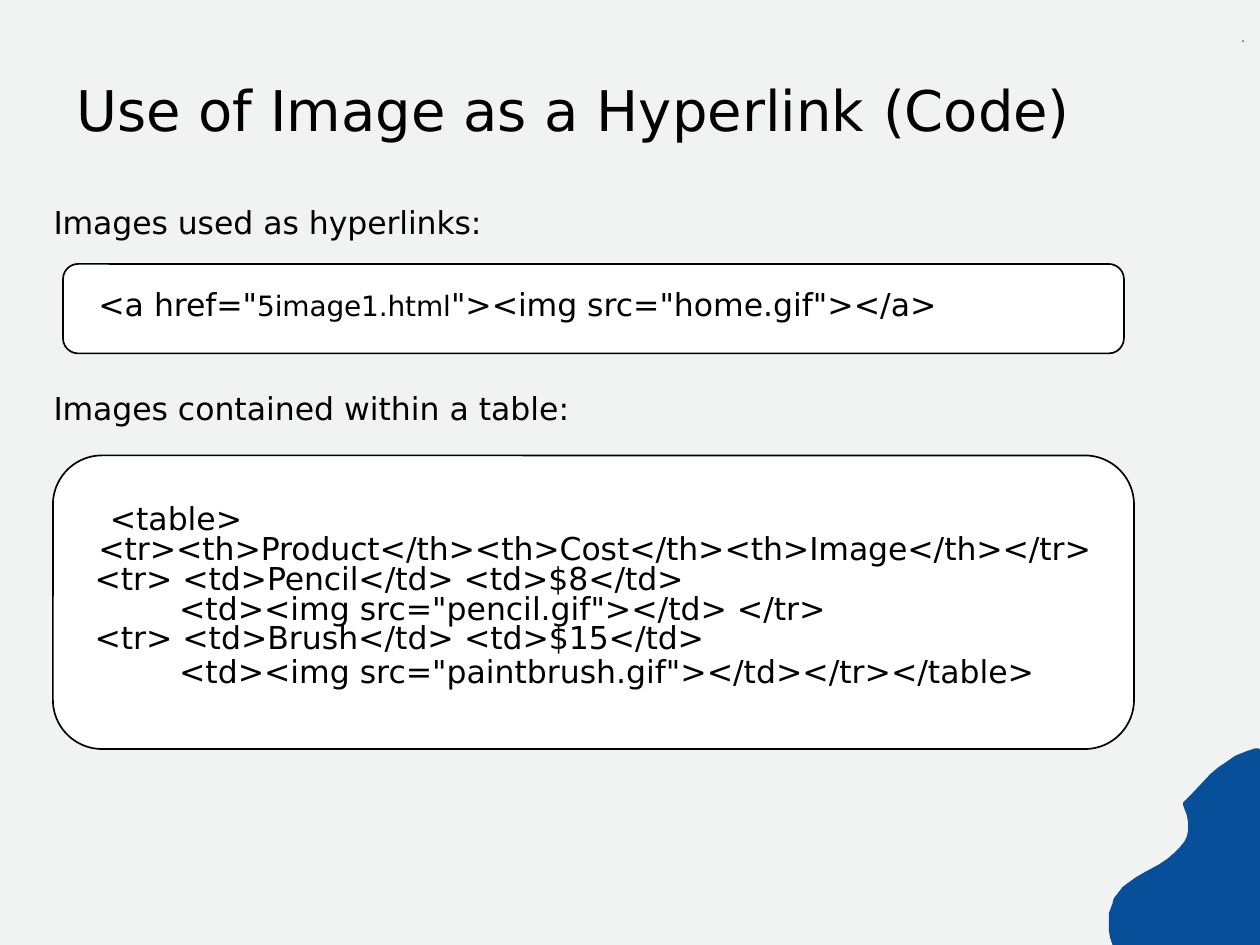
from pptx import Presentation
from pptx.dml.color import RGBColor
from pptx.enum.shapes import MSO_SHAPE as Shape
from pptx.enum.text import MSO_ANCHOR as Anchor, PP_ALIGN as Align
from pptx.util import Inches, Pt

# Grid of 100 columns by 75 rows; one cell is a tenth of an inch
COLUMNS, ROWS, CELL = 100, 75, 0.1
FONT = "DejaVu Sans"
BLACK, WHITE, PAPER, BLUE = "000000", "FFFFFF", "F1F2F2", "084F99"
CORNER_SHARE = 0.29  # share of the corner radius that a rounded box keeps free of text
TIGHT = -5  # letter spacing in 1/100 pt


def grid(cells):
    return Inches(cells * CELL)


def color(hex_text):
    return RGBColor.from_string(hex_text)


def paint(shape, hex_text):
    shape.shadow.inherit = False
    shape.fill.solid()
    shape.fill.fore_color.rgb = color(hex_text)
    shape.line.fill.background()


def write_line(paragraph, parts, size=18, indent=0, spacing=None, font=FONT, bold=False):
    """Write parts of (text, letter spacing, optional size) as one line."""
    paragraph.alignment = Align.LEFT
    if spacing:
        paragraph.line_spacing = Pt(spacing)
    if indent:
        paragraph._p.get_or_add_pPr().set("marL", str(grid(indent)))
    for text, tracking, *own_size in parts:
        run = paragraph.add_run()
        run.text = text
        run.font.name, run.font.bold = font, bold
        run.font.size = Pt(own_size[0] if own_size else size)
        run.font.color.rgb = color(BLACK)
        run.font._element.set("spc", str(tracking))


def set_frame(text_frame, left=0, top=0):
    text_frame.word_wrap = True
    text_frame.vertical_anchor = Anchor.TOP
    text_frame.margin_left, text_frame.margin_top = grid(left), grid(top)
    text_frame.margin_right = text_frame.margin_bottom = 0


def add_background(slide, box):
    paint(slide.shapes.add_shape(Shape.RECTANGLE, *map(grid, box)), PAPER)


def add_label(slide, box, parts, **style):
    text_frame = slide.shapes.add_textbox(*map(grid, box)).text_frame
    set_frame(text_frame)
    write_line(text_frame.paragraphs[0], parts, **style)


def add_code_box(slide, box, radius, text_left, text_top, lines):
    """Rounded box; each line is (indent, line spacing, parts)."""
    shape = slide.shapes.add_shape(Shape.ROUNDED_RECTANGLE, *map(grid, box))
    shape.adjustments[0] = radius / min(box[2:])
    paint(shape, WHITE)
    shape.line.color.rgb = color(BLACK)
    shape.line.width = Pt(0.96)
    text_frame = shape.text_frame
    corner = CORNER_SHARE * radius
    set_frame(text_frame, text_left - corner, text_top - corner)
    for index, (indent, spacing, parts) in enumerate(lines):
        paragraph = text_frame.add_paragraph() if index else text_frame.paragraphs[0]
        write_line(paragraph, parts, indent=indent, spacing=spacing)


def add_corner_wave(slide, box):
    left, top, width, height = box
    # Outline in cells from the top left of the box
    outline = [
        (11.9, 0), (11.6, 0), (11, 0.2), (10, 0.6), (9.3, 1.1), (8.7, 1.5), (8.1, 2),
        (6.5, 3.7), (5.9, 4.3), (5.9, 4.5), (6.2, 5.3), (6.3, 5.9), (6.3, 6.5),
        (6.2, 7), (6, 7.4), (5.6, 7.9), (5.2, 8.3), (4.6, 8.8), (4, 9.2), (2.9, 9.8),
        (2.2, 10.2), (1.5, 10.7), (1.1, 11), (0.8, 11.4), (0.4, 11.9), (0.3, 12.3),
        (0, 13.1), (0, 14.4), (0.1, 15), (0.3, height), (width, height), (width, 0.1),
    ]
    points = [(grid(left + x), grid(top + y)) for x, y in outline]
    builder = slide.shapes.build_freeform(*points[0], scale=1)
    builder.add_line_segments(points[1:], close=True)
    paint(builder.convert_to_shape(), BLUE)


def main():
    presentation = Presentation()
    presentation.slide_width, presentation.slide_height = grid(COLUMNS), grid(ROWS)
    slide = presentation.slides.add_slide(presentation.slide_layouts[6])
    add_background(slide, (0, 0, COLUMNS, ROWS))

    # Images as hyperlinks
    add_label(slide, (4.25, 16.1, 80, 3),
              [("Images used ", TIGHT), ("as ", 0), ("hyperlinks:", TIGHT)])
    add_code_box(slide, (5, 20.95, 84.2, 7.1), 1.2, 2.8, 1.7, [
        (0, None, [("<a ", 0), ("href=\"", TIGHT), ("5image1.html", TIGHT, 16),
                   ("\"><img ", TIGHT), ("src=\"home.gif\"></a>", 0)]),
    ])

    # Images within a table
    add_label(slide, (4.25, 30.85, 80, 3),
              [("Images ", TIGHT), ("contained within a table:", 0)])
    add_code_box(slide, (4.2, 36.15, 85.8, 23.3), 3.9, 3.3, 3.8, [
        (1.2, 19.2, [("<table>", 0)]),
        (0.3, 17, [("<tr><th>Product</th><th>Cost</th><th>Image</th></tr>", TIGHT)]),
        (0, 17.1, [("<tr> <td>Pencil</td> <td>$8</td>", TIGHT)]),
        (6.7, 17, [("<td><img src=\"pencil.gif\"></td> </tr>", 0)]),
        (0, 17, [("<tr> ", TIGHT), ("<td>Brush</td> ", 0), ("<td>$15</td>", TIGHT)]),
        (6.7, 19.3, [("<td><img src=\"paintbrush.gif\"></td></tr></table>", 0)]),
    ])

    # Title
    add_label(slide, (6.05, 6, 84, 5.6),
              [("Use of Image as a Hyperlink ", 0), ("(Code)", TIGHT)], size=32)

    # Corner decoration and tiny mark
    add_corner_wave(slide, (88, 59.4, 12, 15.6))
    add_label(slide, (98.6, 3.15, 0.5, 0.6), [("R", 20)], size=1.5, font="Cambria", bold=True)

    presentation.save("out.pptx")


if __name__ == "__main__":
    main()
